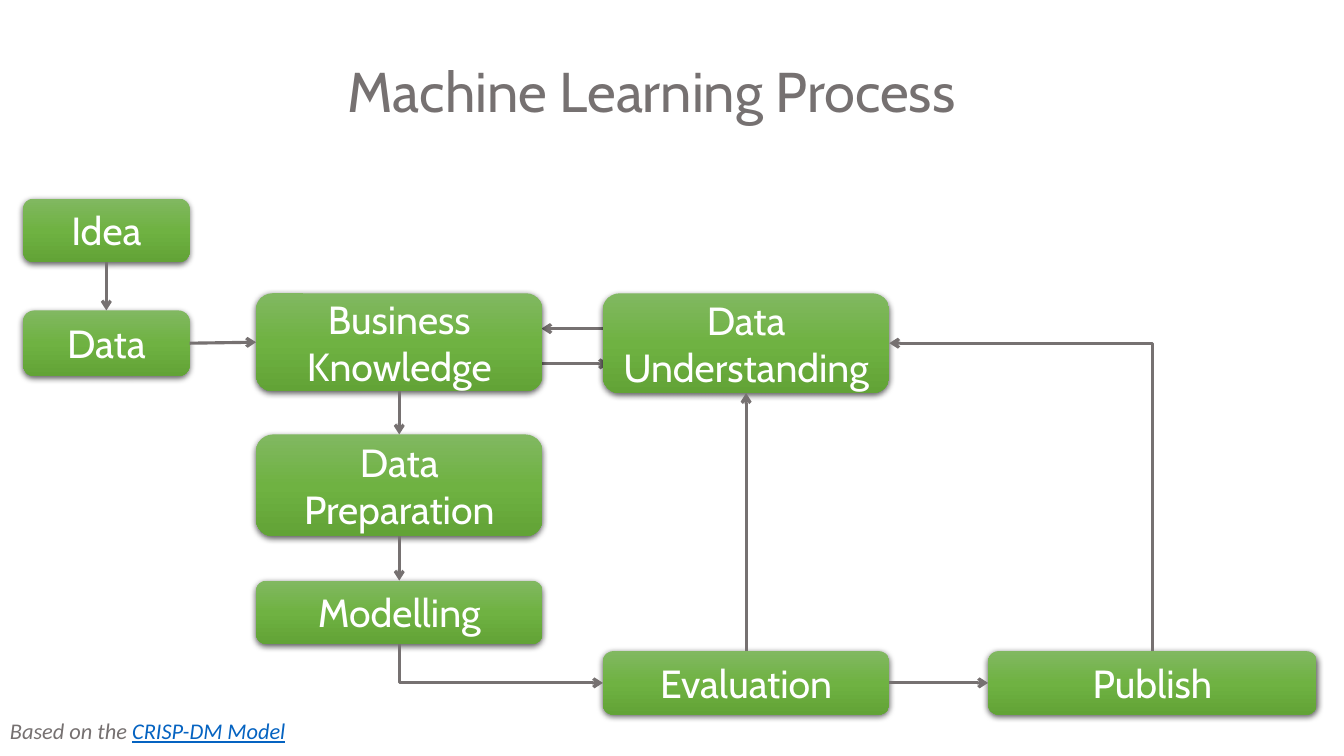
from lxml import etree
from pptx import Presentation
from pptx.dml.color import RGBColor
from pptx.enum import shapes, text
from pptx.oxml import parse_xml
from pptx.util import Inches, Pt

GREY = "767171"
NS = "http://schemas.openxmlformats.org/drawingml/2006/main"
GRADIENT = [(0, "81B861"), (50000, "6FB242"), (100000, "62A336")]
TOP, LEFT, BOTTOM, RIGHT = range(4)


def style_run(run, font, size, colour):
    run.font.name = font
    run.font.size = Pt(size)
    run.font.color.rgb = RGBColor.from_string(colour)


def add_arrow(x1, y1, x2, y2, kind=shapes.MSO_CONNECTOR.STRAIGHT):
    arrow = slide.shapes.add_connector(
        kind, Inches(x1), Inches(y1), Inches(x2), Inches(y2))
    arrow.line.width = Pt(2.25)
    arrow.line.color.rgb = RGBColor.from_string(GREY)
    etree.SubElement(arrow.line._get_or_add_ln(), f"{{{NS}}}tailEnd", type="arrow")
    etree.SubElement(arrow._element.spPr, f"{{{NS}}}effectLst")
    return arrow


prs = Presentation()
prs.slide_width, prs.slide_height = Inches(13.33), Inches(7.5)
slide = prs.slides.add_slide(prs.slide_layouts[5])

title = slide.shapes.title
title.left, title.top, title.width, title.height = map(Inches, (3.35, 0.51, 7.24, 0.77))
title.text_frame.text = "Machine Learning Process"
title.text_frame.vertical_anchor = text.MSO_ANCHOR.TOP
heading = title.text_frame.paragraphs[0]
heading.alignment = text.PP_ALIGN.LEFT
heading.line_spacing = 1.0
style_run(heading.runs[0], "Cabin", 40, GREY)

# Two-way exchange, partly behind the boxes
add_arrow(6.38, 3.26, 5.37, 3.26)
add_arrow(5.02, 3.61, 6.04, 3.61)

steps = [
    ("Business Knowledge", 2.54, 2.91, 2.84, 0.97),
    ("Data Preparation", 2.54, 4.31, 2.84, 1.01),
    ("Modelling", 2.54, 5.76, 2.84, 0.63),
    ("Evaluation", 5.98, 6.46, 2.84, 0.63),
    ("Data Understanding", 5.98, 2.91, 2.84, 0.99),
    ("Idea", 0.23, 1.97, 1.65, 0.63),
    ("Data", 0.23, 3.08, 1.65, 0.65),
    ("Publish", 9.8, 6.46, 3.26, 0.63),
]
stops = "".join(f'<a:gs pos="{pos}"><a:srgbClr val="{colour}"/></a:gs>'
                for pos, colour in GRADIENT)
boxes = {}
for name, *place in steps:
    box = slide.shapes.add_shape(
        shapes.MSO_SHAPE.ROUNDED_RECTANGLE, *map(Inches, place))
    properties = box._element.spPr
    properties.append(parse_xml(
        f'<a:gradFill xmlns:a="{NS}" rotWithShape="1"><a:gsLst>{stops}</a:gsLst>'
        '<a:lin ang="5400000" scaled="0"/></a:gradFill>'))
    box.line.fill.background()
    properties.append(parse_xml(
        f'<a:effectLst xmlns:a="{NS}"><a:outerShdw blurRad="{Pt(4.5)}" dist="{Pt(1.5)}" '
        'dir="5400000" algn="ctr" rotWithShape="0"><a:srgbClr val="000000">'
        '<a:alpha val="63000"/></a:srgbClr></a:outerShdw></a:effectLst>'))
    box.text_frame.text = name
    box.text_frame.word_wrap = True
    box.text_frame.vertical_anchor = text.MSO_ANCHOR.MIDDLE
    label = box.text_frame.paragraphs[0]
    label.alignment = text.PP_ALIGN.CENTER
    style_run(label.runs[0], "Cabin", 28, "FFFFFF")
    boxes[name] = box

flows = [
    ("Idea", BOTTOM, "Data", TOP),
    ("Data", RIGHT, "Business Knowledge", LEFT),
    ("Business Knowledge", BOTTOM, "Data Preparation", TOP),
    ("Data Preparation", BOTTOM, "Modelling", TOP),
    ("Evaluation", RIGHT, "Publish", LEFT),
    ("Evaluation", TOP, "Data Understanding", BOTTOM),
]
for source, exit_side, target, entry_side in flows:
    arrow = add_arrow(0, 0, 1, 1)
    arrow.begin_connect(boxes[source], exit_side)
    arrow.end_connect(boxes[target], entry_side)

# One-corner arrows leave vertically and arrive horizontally: a quarter turn of the preset
turns = [
    ("Modelling", BOTTOM, "Evaluation", LEFT, "flipH"),
    ("Publish", TOP, "Data Understanding", RIGHT, "flipV"),
]
for source, exit_side, target, entry_side, flip in turns:
    arrow = add_arrow(0, 0, 1, 1, shapes.MSO_CONNECTOR.ELBOW)
    arrow.begin_connect(boxes[source], exit_side)
    arrow.end_connect(boxes[target], entry_side)
    across, down = arrow.width, arrow.height
    middle_x, middle_y = arrow.left + across // 2, arrow.top + down // 2
    arrow.left, arrow.top = middle_x - down // 2, middle_y - across // 2
    arrow.width, arrow.height = down, across
    frame = arrow._element.spPr.find(f"{{{NS}}}xfrm")
    frame.attrib.clear()
    frame.set("rot", "16200000")
    frame.set(flip, "1")
    arrow._element.spPr.find(f"{{{NS}}}prstGeom").set("prst", "bentConnector2")

footnote = slide.shapes.add_textbox(Inches(0), Inches(7.07), Inches(3.02), Inches(0.37))
footnote.text_frame.word_wrap = True
credit = footnote.text_frame.paragraphs[0]
for words, colour, underlined in [("Based on the ", GREY, False),
                                  ("CRISP-DM Model", "0563C1", True)]:
    run = credit.add_run()
    run.text = words
    style_run(run, "Calibri", 16, colour)
    run.font.italic = True
    run.font.underline = underlined

prs.save("out.pptx")
